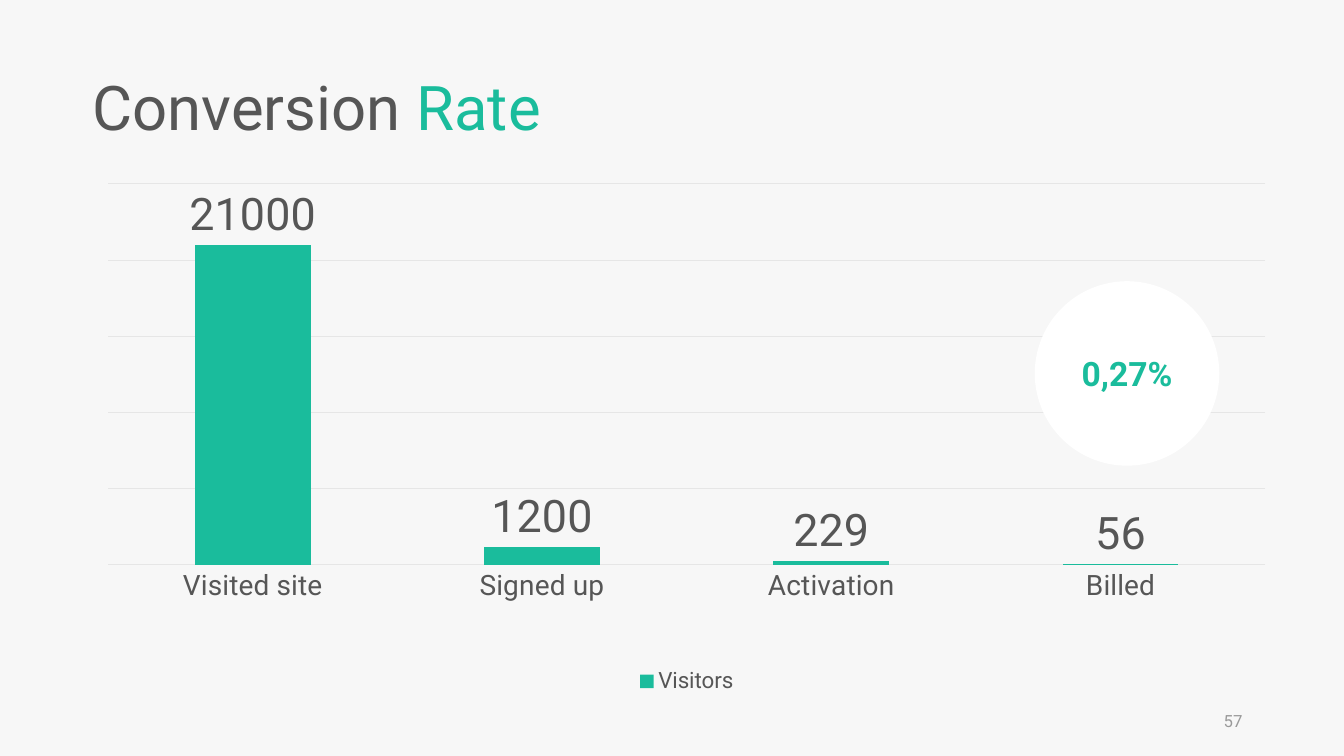
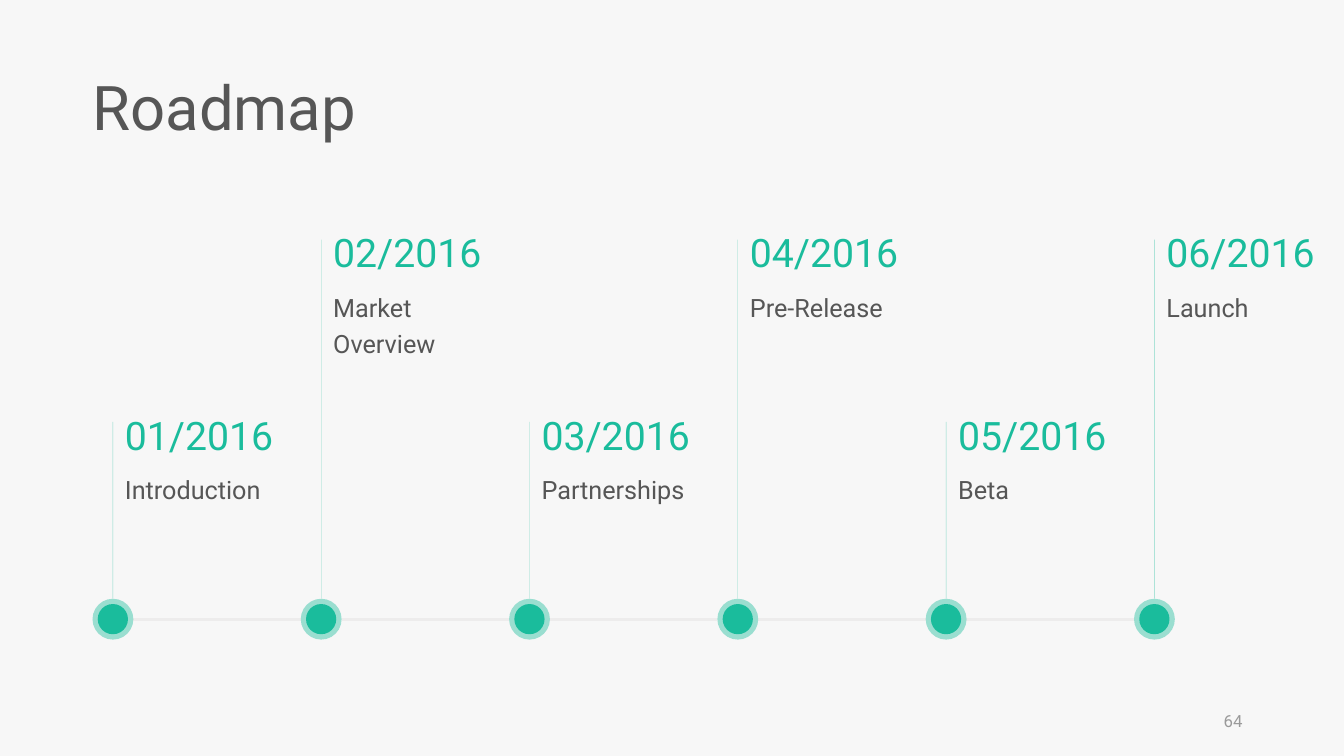
import pptx
import pptx.chart.data
import pptx.dml.color
import pptx.enum.chart
import pptx.enum.shapes
import pptx.enum.text
import pptx.oxml
import pptx.oxml.ns
import pptx.util
from lxml import etree

FONT = "Roboto"
GREEN, DARK, GREY = "1ABC9C", "565656", "9A9A9A"
PAPER, WHITE, GRID, TRACK = "F7F7F7", "FFFFFF", "E6E6E6", "EDECEC"
Pt, Inches, qn = pptx.util.Pt, pptx.util.Inches, pptx.oxml.ns.qn
ALIGN, ANCHOR = pptx.enum.text.PP_ALIGN, pptx.enum.text.MSO_ANCHOR
FIT = pptx.enum.text.MSO_AUTO_SIZE.SHAPE_TO_FIT_TEXT
OVAL = pptx.enum.shapes.MSO_SHAPE.OVAL
STRAIGHT = pptx.enum.shapes.MSO_CONNECTOR.STRAIGHT


def paint(fill, color, alpha=100):
    """Make a shape, line or font fill solid; alpha is its opacity in percent."""
    fill.solid()
    fill.fore_color.rgb = pptx.dml.color.RGBColor.from_string(color)
    if alpha < 100:
        rgb = fill._xPr.find(qn("a:solidFill")).find(qn("a:srgbClr"))
        etree.SubElement(rgb, qn("a:alpha"), val=str(alpha * 1000))


def write(p, text, size, color, bold=False):
    """Append one run to a paragraph."""
    r = p.add_run()
    r.text = text
    r.font.name, r.font.size, r.font.bold = FONT, Pt(size), bold
    paint(r.font.fill, color)


prs = pptx.Presentation()
prs.slide_width, prs.slide_height = Inches(13.33), Inches(7.5)
# All positions are thousandths of the slide's width (X) and height (Y).
X, Y = prs.slide_width // 1000, prs.slide_height // 1000
MARGIN = 69 * X
paint(prs.slide_master.background.fill, PAPER)

# Title and page number of every slide
slides = []
for title_runs, page in (
    ([("Conversion ", DARK), ("Rate", GREEN)], "57"),
    ([("Roadmap", DARK)], "64"),
):
    s = prs.slides.add_slide(prs.slide_layouts[5])
    slides.append(s)
    sp = s.shapes.title
    sp.left, sp.top, sp.width, sp.height = MARGIN, 96 * Y, 368 * X, 103 * Y
    tf = sp.text_frame
    tf.margin_left, tf.margin_right = 0, Inches(0.1)
    tf.margin_top = tf.margin_bottom = Inches(0.05)
    tf.vertical_anchor, tf.auto_size, tf.word_wrap = ANCHOR.TOP, FIT, True
    p = tf.paragraphs[0]
    p.alignment, p.line_spacing = ALIGN.LEFT, 0.9
    for text, color in title_runs:
        write(p, text, 44, color)

    tf = s.shapes.add_textbox(707 * X, 927 * Y, 225 * X, 53 * Y).text_frame
    tf.word_wrap, tf.vertical_anchor = True, ANCHOR.MIDDLE
    p = tf.paragraphs[0]
    p.alignment = ALIGN.RIGHT
    write(p, page, 12, GREY)

conversion, roadmap = slides

# Conversion chart
data = pptx.chart.data.CategoryChartData()
data.categories = ["Visited site", "Signed up", "Activation", "Billed"]
data.add_series("Visitors", (21000, 1200, 229, 56))
chart = conversion.shapes.add_chart(
    pptx.enum.chart.XL_CHART_TYPE.COLUMN_CLUSTERED,
    MARGIN, 223 * Y, 884 * X, 701 * Y, data).chart
chart.has_title = False
chart.has_legend = True
chart.legend.position = pptx.enum.chart.XL_LEGEND_POSITION.BOTTOM
chart.legend.include_in_layout = False

plot = chart.plots[0]
plot.gap_width, plot.vary_by_categories = 150, False
paint(plot.series[0].format.fill, GREEN)
plot.has_data_labels = True
labels = plot.data_labels
labels.show_value = True
labels.position = pptx.enum.chart.XL_LABEL_POSITION.OUTSIDE_END

cat, val = chart.category_axis, chart.value_axis
cat.major_tick_mark = pptx.enum.chart.XL_TICK_MARK.NONE
val.minimum_scale, val.maximum_scale, val.major_unit = 0, 25000, 5000
val.has_major_gridlines, val.visible = True, False
for line in (cat.format.line, val.major_gridlines.format.line):
    line.width = Pt(0.75)
    paint(line.fill, GRID)
for font, size in ((chart.font, 10), (chart.legend.font, 16),
                   (cat.tick_labels.font, 20), (labels.font, 32)):
    font.name, font.size = FONT, Pt(size)
    paint(font.fill, DARK)

plot_area = chart._chartSpace.chart.plotArea
for old in plot_area.findall(qn("c:layout")):
    plot_area.remove(old)
layout = etree.Element(qn("c:layout"))
manual = etree.SubElement(layout, qn("c:manualLayout"))
for tag, value in (("layoutTarget", "inner"), ("xMode", "edge"), ("yMode", "edge"),
                   ("x", "0.013"), ("y", "0.029"), ("w", "0.974"), ("h", "0.719")):
    etree.SubElement(manual, qn("c:" + tag), val=value)
plot_area.insert(0, layout)

# Overall rate
sp = conversion.shapes.add_shape(OVAL, 770 * X, 372 * Y, 244 * Y, 244 * Y)
sp.shadow.inherit = False
paint(sp.fill, WHITE)
sp.line.fill.background()
tf = sp.text_frame
tf.vertical_anchor = ANCHOR.MIDDLE
p = tf.paragraphs[0]
p.alignment = ALIGN.CENTER
write(p, "0,27%", 24, GREEN, True)

# Timeline: equal columns, labels alternating between a low and a high row
milestones = [("01/2016", "Introduction"), ("02/2016", "Market Overview"),
              ("03/2016", "Partnerships"), ("04/2016", "Pre-Release"),
              ("05/2016", "Beta"), ("06/2016", "Launch")]
STEP, AXIS = 155 * X, 819 * Y
HALO, DOT = 27 * Y, 20 * Y  # radii
ROWS = (537 * Y, 296 * Y)
DATE_H, LABEL_H = 76 * Y, 61 * Y

for i, (date, label) in enumerate(milestones):
    x, top = 84 * X + i * STEP, ROWS[i % 2]
    lines = [(x, AXIS - HALO, x, top + 21 * Y, GREEN, 0.25, 51)]
    if i < len(milestones) - 1:
        lines.append((x + HALO, AXIS, x + STEP - HALO, AXIS, TRACK, 2.25, 100))
    for *ends, color, width, alpha in lines:
        sp = roadmap.shapes.add_connector(STRAIGHT, *ends)
        sp.line.width = Pt(width)
        paint(sp.line.fill, color, alpha)
        etree.SubElement(sp.element.spPr, qn("a:effectLst"))

    marker = roadmap.shapes.add_group_shape()
    for radius, alpha in ((HALO, 42), (DOT, 100)):
        sp = marker.shapes.add_shape(OVAL, x - radius, AXIS - radius, 2 * radius, 2 * radius)
        sp.shadow.inherit = False
        paint(sp.fill, GREEN, alpha)
        sp.line.fill.background()

    for text, y, h, size, color, spacing in (
        (date, top, DATE_H, 28, GREEN, 1.0),
        (label, top + DATE_H, LABEL_H, 18, DARK, 1.2),
    ):
        tf = roadmap.shapes.add_textbox(x, y, 139 * X, h).text_frame
        tf.word_wrap, tf.auto_size = True, FIT
        tf.margin_left = Inches(0.12)
        p = tf.paragraphs[0]
        p.line_spacing = spacing
        write(p, text, size, color)

prs.save("out.pptx")
